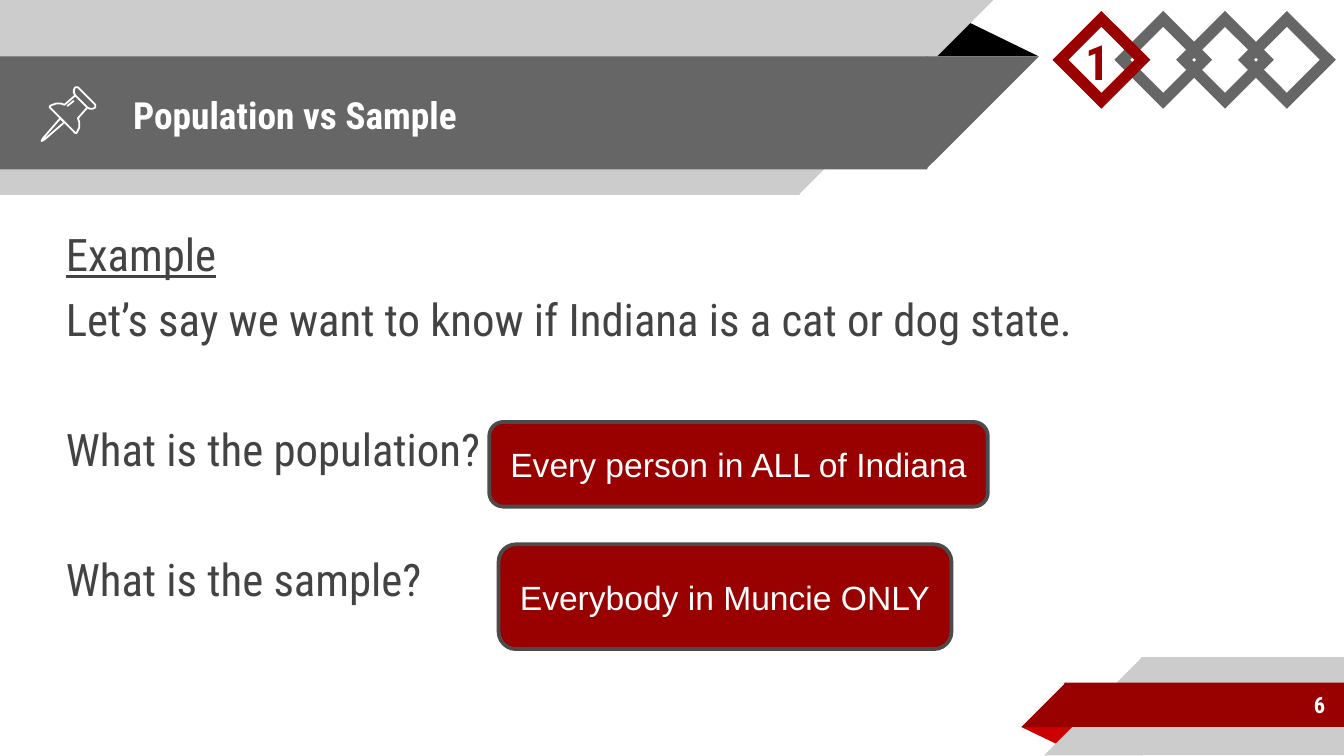
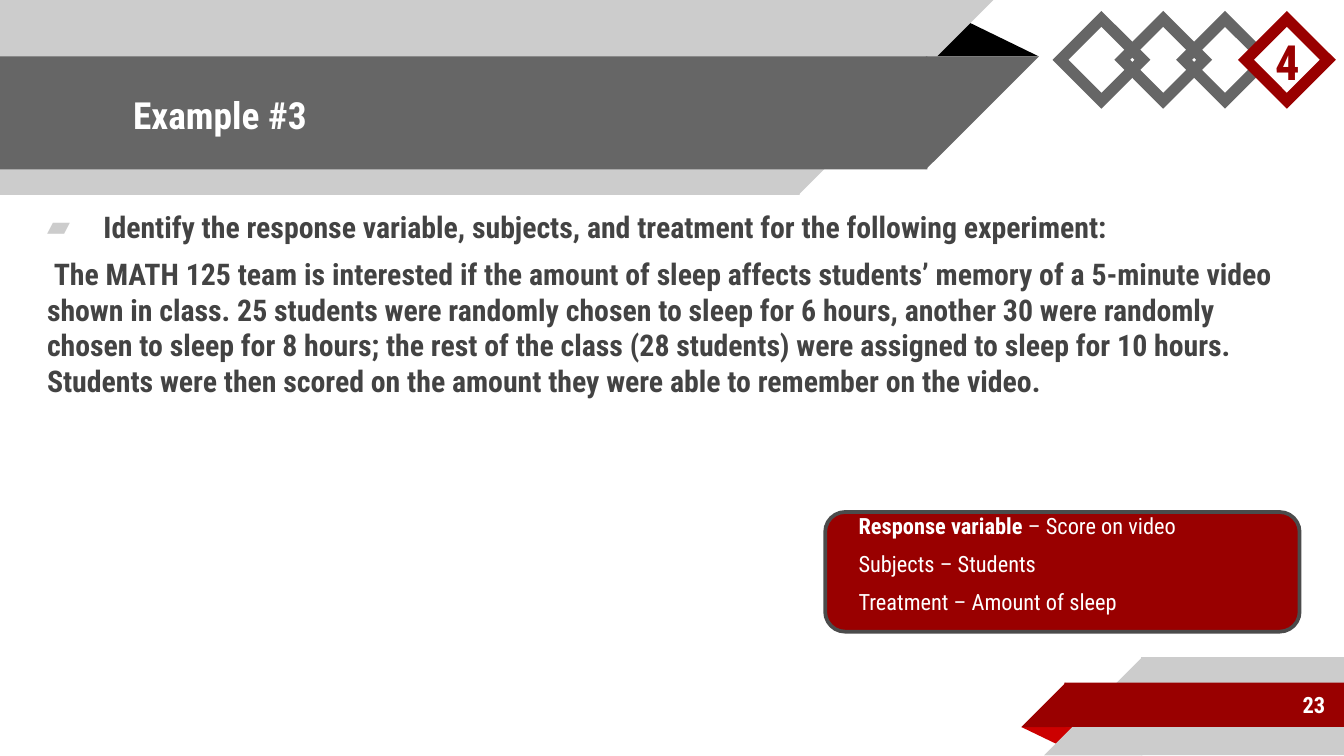
from dataclasses import dataclass

from lxml import etree
from pptx import Presentation
from pptx.dml.color import RGBColor
from pptx.enum import shapes as kinds, text as txt
from pptx.oxml.ns import qn
from pptx.util import Inches, Pt

FORM = kinds.MSO_SHAPE
ALIGN = txt.PP_ALIGN
ANCHOR = txt.MSO_ANCHOR
HEAD = (0.89, 0.43, 6.01, 0.84)
BODY = (0.31, 1.59, 9.37, 3.52)
LAP = 0.01


@dataclass(frozen=True)
class Theme:
    font: str = "Roboto Condensed"
    plain: str = "Arial"
    white: str = "FFFFFF"
    black: str = "000000"
    light: str = "CCCCCC"
    gray: str = "666666"
    edge: str = "4B4B4B"
    ink: str = "434343"
    red: str = "990000"
    bright: str = "CC0000"
    title: int = 20
    large: int = 24
    body: int = 16
    answer: int = 18
    small: int = 12
    step: int = 26


@dataclass
class Line:
    """One paragraph; lead is bold text set before the main text."""
    text: str
    lead: str = ""
    gap: float = 6
    left: float = 0.08
    first: float = 0
    bullet: str = ""
    under: bool = False


T = Theme()


def rgb(tone):
    return RGBColor.from_string(tone)


def paint(shape, fill=None, edge=None, width=1):
    shape.shadow.inherit = False
    if fill:
        shape.fill.solid()
        shape.fill.fore_color.rgb = rgb(fill)
    else:
        shape.fill.background()
    if edge:
        shape.line.color.rgb = rgb(edge)
        shape.line.width = Pt(width)
    else:
        shape.line.fill.background()


def draw(slide, form, box, fill=None, edge=None, width=1):
    shape = slide.shapes.add_shape(form, *map(Inches, box))
    paint(shape, fill, edge, width)
    return shape


def style(run, size, tone, bold=False, font=T.font):
    run.font.name = font
    run.font.size = Pt(size)
    run.font.color.rgb = rgb(tone)
    run.font.bold = bold


def setup(frame, anchor=ANCHOR.TOP, inset=0.1):
    frame.word_wrap = True
    frame.auto_size = txt.MSO_AUTO_SIZE.NONE
    frame.vertical_anchor = anchor
    frame.margin_left = frame.margin_right = Inches(inset)
    frame.margin_top = frame.margin_bottom = Inches(inset)


def place(shape, box):
    shape.left, shape.top, shape.width, shape.height = map(Inches, box)


def label(frame, words, size, tone, bold=True, align=ALIGN.LEFT,
          anchor=ANCHOR.MIDDLE, font=T.font):
    setup(frame, anchor)
    frame.text = words
    para = frame.paragraphs[0]
    para.alignment = align
    style(para.runs[0], size, tone, bold, font)


def note(slide, box, *args, **options):
    frame = slide.shapes.add_textbox(*map(Inches, box)).text_frame
    label(frame, *args, **options)


def mark(para, line):
    """Set the indents and the bullet of a paragraph."""
    props = para._p.get_or_add_pPr()
    props.set("marL", str(Inches(line.left)))
    props.set("indent", str(Inches(line.first)))
    if line.bullet:
        tint = etree.SubElement(props, qn("a:buClr"))
        etree.SubElement(tint, qn("a:srgbClr"), val=T.light)
        etree.SubElement(props, qn("a:buChar"), char=line.bullet)
    else:
        etree.SubElement(props, qn("a:buNone"))


def write(frame, lines, size, tone, bold=False):
    setup(frame)
    frame.text = "\n".join(line.lead or line.text for line in lines)
    for para, line in zip(frame.paragraphs, lines):
        para.alignment = ALIGN.LEFT
        para.line_spacing = 1.0
        para.space_before = Pt(line.gap)
        para.space_after = Pt(0)
        mark(para, line)
        style(para.runs[0], size, tone, bold or bool(line.lead))
        para.runs[0].font.underline = line.under
        if line.lead:
            tail = para.add_run()
            tail.text = line.text
            style(tail, size, tone, bold)


def flip(shape):
    shape.element.spPr.find(qn("a:xfrm")).set("flipH", "1")


def band(slide, x, y, length, height, tone, top):
    """Draw a bar with a slanted end: right end on top, left end below."""
    wedge = x + length if top else x - height
    start = x if top else x - LAP
    bar = draw(slide, FORM.RECTANGLE, (start, y, length + LAP, height), tone)
    end = draw(slide, FORM.RIGHT_TRIANGLE, (wedge, y, height, height), tone)
    flip(end)
    if top:
        end.rotation = 180
    return [bar, end]


def fold(slide, box, tone, turn=0):
    shape = draw(slide, FORM.ISOSCELES_TRIANGLE, box, tone)
    shape.adjustments[0] = 0.324
    shape.rotation = turn
    return [shape]


def trim(layout):
    """Fit the layout to the slide: keep only its title and body."""
    for holder in list(layout.placeholders):
        if holder.placeholder_format.idx > 1:
            layout.shapes.element.remove(holder.element)
    for holder, box in zip(layout.placeholders, (HEAD, BODY)):
        place(holder, box)


def dress(layout, slide):
    """Draw the shared bands and move them to the layout."""
    parts = fold(slide, (7.6, 5.41, 0.43, 0.14), T.bright, 180)
    parts += band(slide, 8.5, 4.89, 1.5, 0.73, T.light, False)
    parts += band(slide, 7.93, 5.08, 2.07, 0.33, T.red, False)
    parts += fold(slide, (6.88, 0.14, 0.85, 0.28), T.black)
    parts += band(slide, 0, 0, 5.94, 1.45, T.light, True)
    parts += band(slide, 0, 0.42, 6.89, 0.84, T.gray, True)
    for num, part in enumerate(parts, 20):
        part.element.nvSpPr.cNvPr.set("id", str(num))
        layout.shapes.element.append(part.element)


def steps(slide, now):
    """Draw four linked diamonds, the current one red and numbered."""
    for i in sorted((1, 0, 3, 2), key=lambda i: i == now - 1):
        gem = draw(slide, FORM.DIAMOND, (7.89 + 0.46 * i, 0.14, 0.61, 0.61),
                   T.white if i % 2 else None,
                   T.red if i == now - 1 else T.gray, 6)
        edge = gem.element.spPr.find(qn("a:ln"))
        etree.SubElement(edge, qn("a:miter"), lim="800000")
    note(slide, (7.51 + 0.47 * now, 0.05, 0.5, 0.72), str(now), T.step,
         T.red, anchor=ANCHOR.BOTTOM)


def trace(slide, points, close):
    """Draw an outline through points given in hundredths of an inch."""
    pen = slide.shapes.build_freeform(*points[0], scale=Inches(0.01))
    pen.add_line_segments(points[1:], close=close)
    paint(pen.convert_to_shape(), edge=T.white, width=0.96)


def pin(slide):
    needle = [(45, 88), (32, 103), (31, 105), (33, 104), (48, 91)]
    cap = [(56, 71), (65, 80), (67, 81), (69, 81), (71, 80), (71, 78),
           (58, 65), (56, 65), (55, 67), (55, 69)]
    grip = [(56, 71), (48, 78), (45, 77), (42, 77), (39, 78), (37, 79),
            (37, 80), (38, 81), (55, 98), (56, 99), (57, 99), (58, 97),
            (59, 95), (59, 91), (58, 88), (65, 80)]
    trace(slide, needle, True)
    trace(slide, cap, True)
    trace(slide, grip, False)
    trace(slide, [(50, 79), (55, 75)], False)


def card(slide, box, words=None):
    shape = draw(slide, FORM.ROUNDED_RECTANGLE, box, T.red, T.edge, 2)
    if words:
        label(shape.text_frame, words, T.answer, T.white, False,
              ALIGN.CENTER, font=T.plain)


def page(slide, title, number, step, box, lines, size, bold=False):
    """Fill the parts that every slide has."""
    head, body = slide.placeholders
    place(head, HEAD)
    label(head.text_frame, title, T.title, T.white)
    place(body, box)
    write(body.text_frame, lines, size, T.ink, bold)
    note(slide, (8.33, 5.07, 1.63, 0.35), str(number), T.small, T.white,
         align=ALIGN.RIGHT)
    steps(slide, step)


def sample(slide):
    lines = [
        Line("Example", under=True),
        Line("Let’s say we want to know if Indiana is a cat or dog state."),
        Line("What is the population?", gap=40.8),
        Line("What is the sample?", gap=40.8),
    ]
    page(slide, "Population vs Sample", 6, 1, BODY, lines, T.large)
    pin(slide)
    card(slide, (3.64, 3.14, 3.71, 0.63), "Every person in ALL of Indiana")
    card(slide, (3.71, 4.05, 3.37, 0.78), "Everybody in Muncie ONLY")


def study(slide):
    lines = [
        Line("Identify the response variable, subjects, and treatment for "
             "the following experiment:", left=0.5, first=-0.42, bullet="▰"),
        Line("The MATH 125 team is interested if the amount of sleep affects "
             "students’ memory of a 5-minute video shown in class. 25 "
             "students were randomly chosen to sleep for 6 hours, another 30 "
             "were randomly chosen to sleep for 8 hours; the rest of the "
             "class (28 students) were assigned to sleep for 10 hours. "
             "Students were then scored on the amount they were able to "
             "remember on the video.", first=0.05),
    ]
    page(slide, "Example #3", 23, 4, (0.17, 1.45, 9.65, 3.44), lines,
         T.body, True)
    card(slide, (6.14, 3.81, 3.53, 0.89))
    box = slide.shapes.add_textbox(*map(Inches, (6.21, 3.71, 3.61, 1.07)))
    write(box.text_frame, [
        Line(" – Score on video", lead="Response variable"),
        Line("Subjects – Students"),
        Line("Treatment – Amount of sleep"),
    ], T.small, T.white)


def main():
    deck = Presentation()
    deck.slide_width = Inches(10)
    deck.slide_height = deck.slide_width * 9 // 16
    layout = deck.slide_layouts[1]
    trim(layout)
    first, second = (deck.slides.add_slide(layout) for _ in range(2))
    dress(layout, first)
    sample(first)
    study(second)
    deck.save("out.pptx")


if __name__ == "__main__":
    main()
